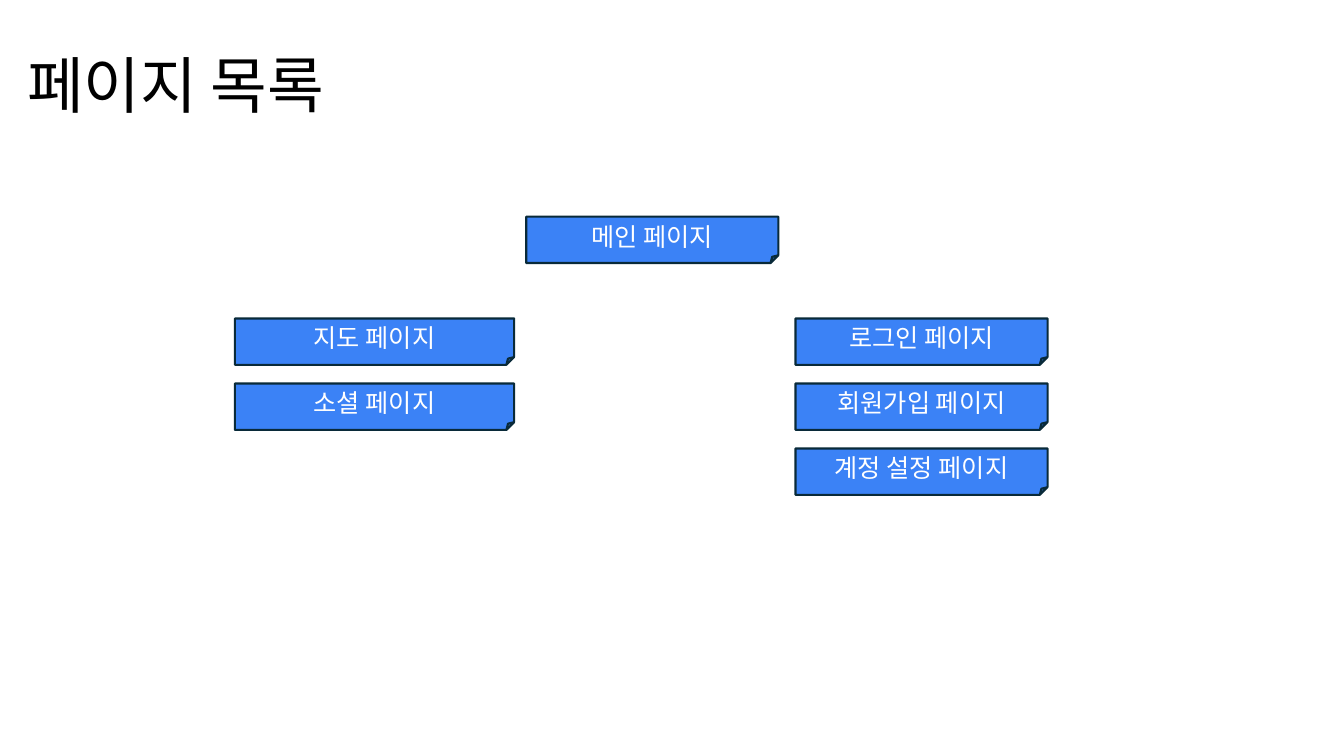
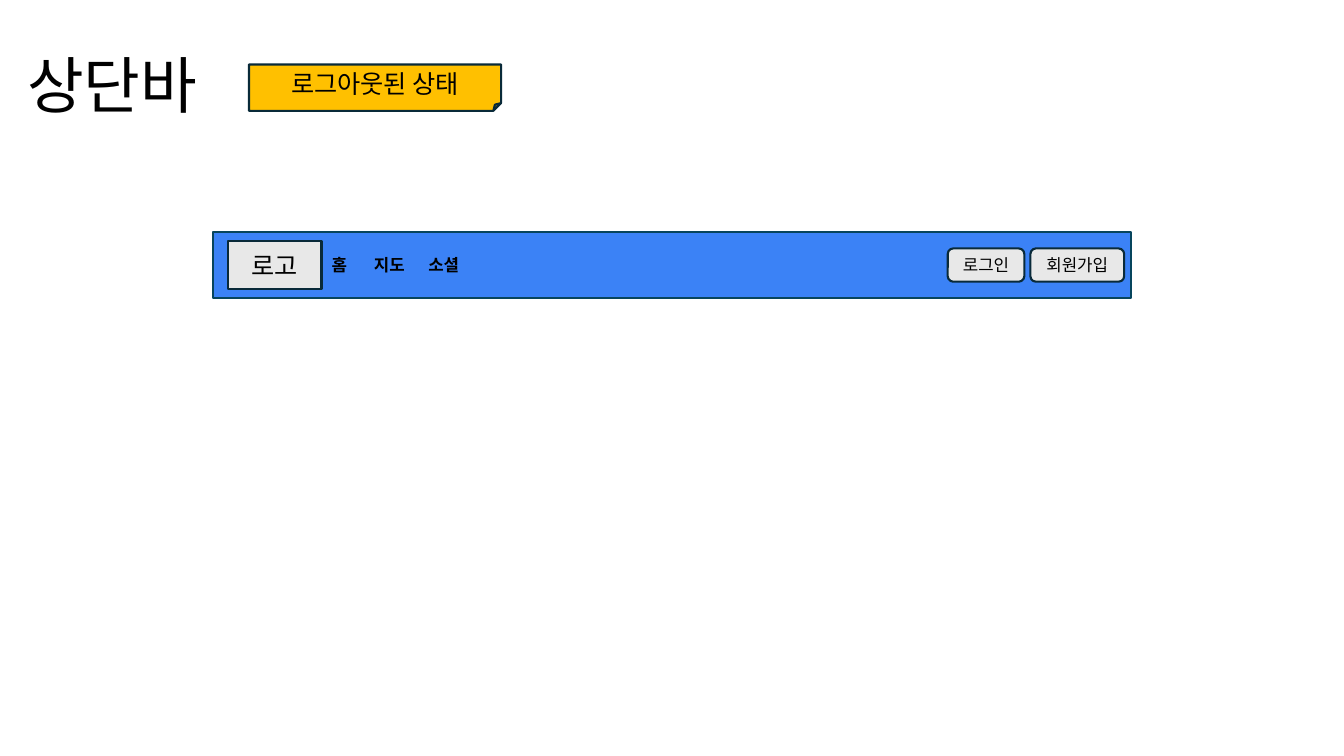
from pptx import Presentation
from pptx.dml.color import RGBColor
from pptx.enum.shapes import MSO_SHAPE
from pptx.enum.text import MSO_ANCHOR, PP_ALIGN
from pptx.oxml.ns import qn
from pptx.util import Inches, Pt
from lxml.etree import SubElement

FONT = "Noto Sans CJK KR"
COLORS = {"blue": "3B82F6", "amber": "FFC000", "gray": "E8E8E8", "edge": "092A39",
          "bar_edge": "07455D", "white": "FFFFFF", "black": "000000"}
NOTE_W, NOTE_H = 2.5, 0.46
NOTE_PITCH = 0.645


def color(name):
    return RGBColor.from_string(COLORS[name])


def write(s, text, size, ink="black", align=PP_ALIGN.LEFT, anchor=MSO_ANCHOR.MIDDLE,
          bold=None, wrap=True, spacing=None):
    tf = s.text_frame
    tf.word_wrap, tf.vertical_anchor = wrap, anchor
    p = tf.paragraphs[0]
    p.alignment, p.line_spacing = align, spacing
    r = p.add_run()
    r.text = text
    for name, value in {"size": Pt(size), "bold": bold, "name": FONT}.items():
        setattr(r.font, name, value)
    r.font.color.rgb = color(ink)
    SubElement(r.font._element, qn("a:ea"), typeface=FONT)


def add_text(sp, box, text, size, **style):
    write(sp.add_textbox(*map(Inches, box)), text, size, **style)


def add_box(sp, kind, box, fill, edge="edge", text=None, size=18, ink="black"):
    s = sp.add_shape(kind, *map(Inches, box))
    s.shadow.inherit = False
    s.fill.solid()
    s.fill.fore_color.rgb = color(fill)
    s.line.color.rgb = color(edge)
    s.line.width = Pt(1.5)
    if text:
        write(s, text, size, ink, PP_ALIGN.CENTER)


def add_note(sp, left, top, text, width=NOTE_W, fill="blue", ink="white"):
    add_box(sp, MSO_SHAPE.FOLDED_CORNER, (left, top, width, NOTE_H), fill,
            text=text, ink=ink)


def add_note_column(sp, left, top, names, width=NOTE_W):
    for i, name in enumerate(names):
        add_note(sp, left, top + i * NOTE_PITCH, name, width)


def add_titled_slide(prs, title):
    sp = prs.slides.add_slide(prs.slide_layouts[6]).shapes
    add_text(sp, (0.17, 0.15, 12.99, 1.45), title, 44, spacing=0.9)
    return sp


def add_top_bar(sp, left, top, width, height):
    """Draw the site's bar: logo and menu from the left, buttons from the right."""
    add_box(sp, MSO_SHAPE.RECTANGLE, (left, top, width, height), "blue", "bar_edge")
    logo_w, logo_h = 0.93, 0.47
    x = left + 0.15
    add_box(sp, MSO_SHAPE.RECTANGLE, (x, top + (height - logo_h) / 2, logo_w, logo_h),
            "gray", text="로고")

    menu_x = x + logo_w
    for offset, w, name in ((0, 0.37, "홈"), (0.42, 0.54, "지도"), (0.96, 0.54, "소셜")):
        add_text(sp, (menu_x + offset, top + 0.18, w, 0.3), name, 12, bold=True,
                 wrap=False, anchor=MSO_ANCHOR.TOP)

    button_h, gap = 0.33, 0.06
    right = left + width - 0.07
    for w, name in ((0.93, "회원가입"), (0.76, "로그인")):
        add_box(sp, MSO_SHAPE.ROUNDED_RECTANGLE,
                (right - w, top + (height - button_h) / 2, w, button_h),
                "gray", text=name, size=12)
        right -= w + gap


def build_page_list(prs):
    sp = add_titled_slide(prs, "페이지 목록")
    add_note(sp, 5.22, 2.15, "메인 페이지")
    row = 3.16
    add_note_column(sp, 2.33, row, ("지도 페이지", "소셜 페이지"), width=2.77)
    add_note_column(sp, 7.89, row, ("로그인 페이지", "회원가입 페이지", "계정 설정 페이지"))


def build_top_bar(prs):
    sp = add_titled_slide(prs, "상단바")
    add_note(sp, 2.47, 0.64, "로그아웃된 상태", fill="amber", ink="black")
    add_top_bar(sp, 2.11, 2.3, 9.11, 0.66)


def main():
    prs = Presentation()
    prs.slide_width, prs.slide_height = Inches(13.33), Inches(7.5)
    build_page_list(prs)
    build_top_bar(prs)
    prs.save("out.pptx")


if __name__ == "__main__":
    main()
